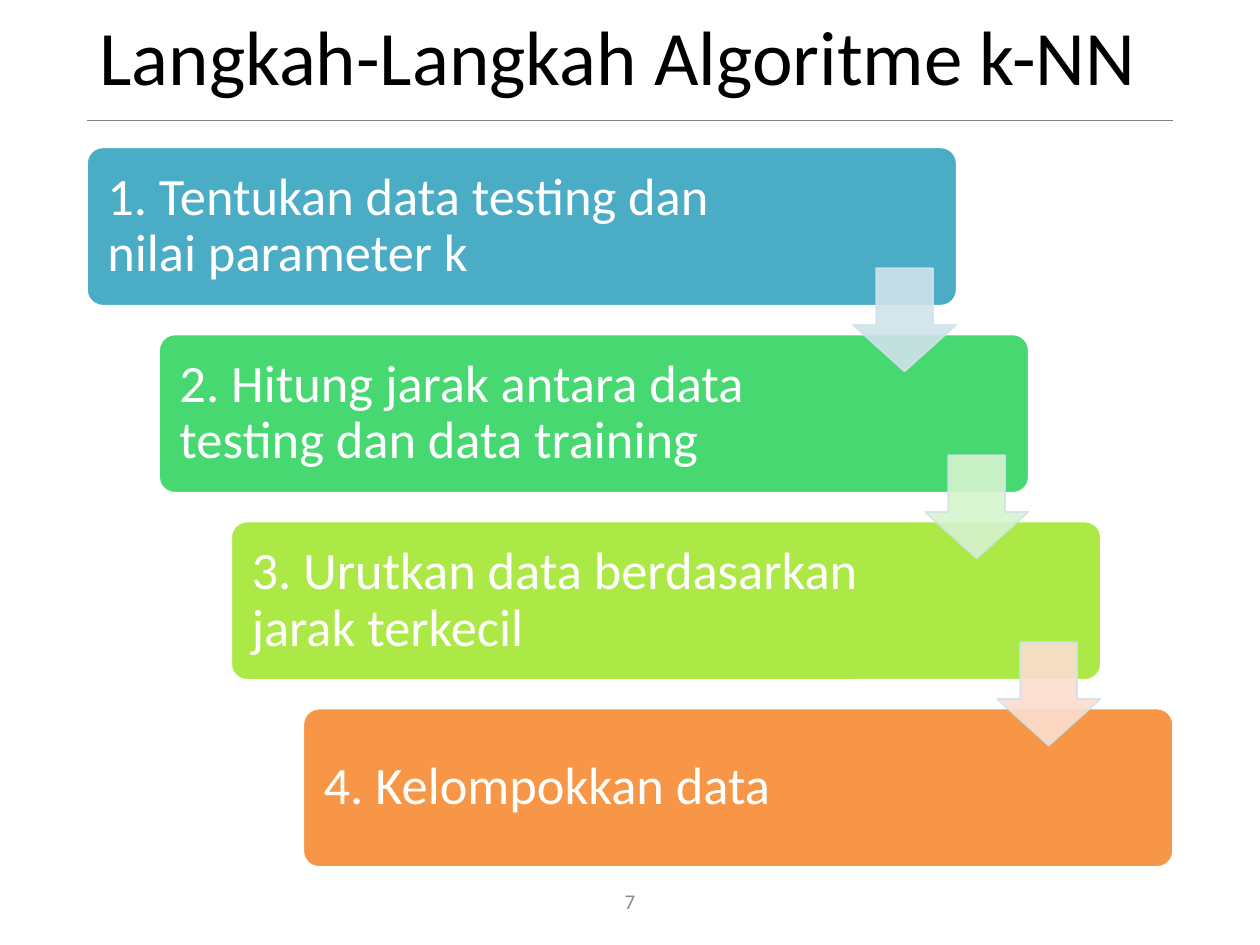
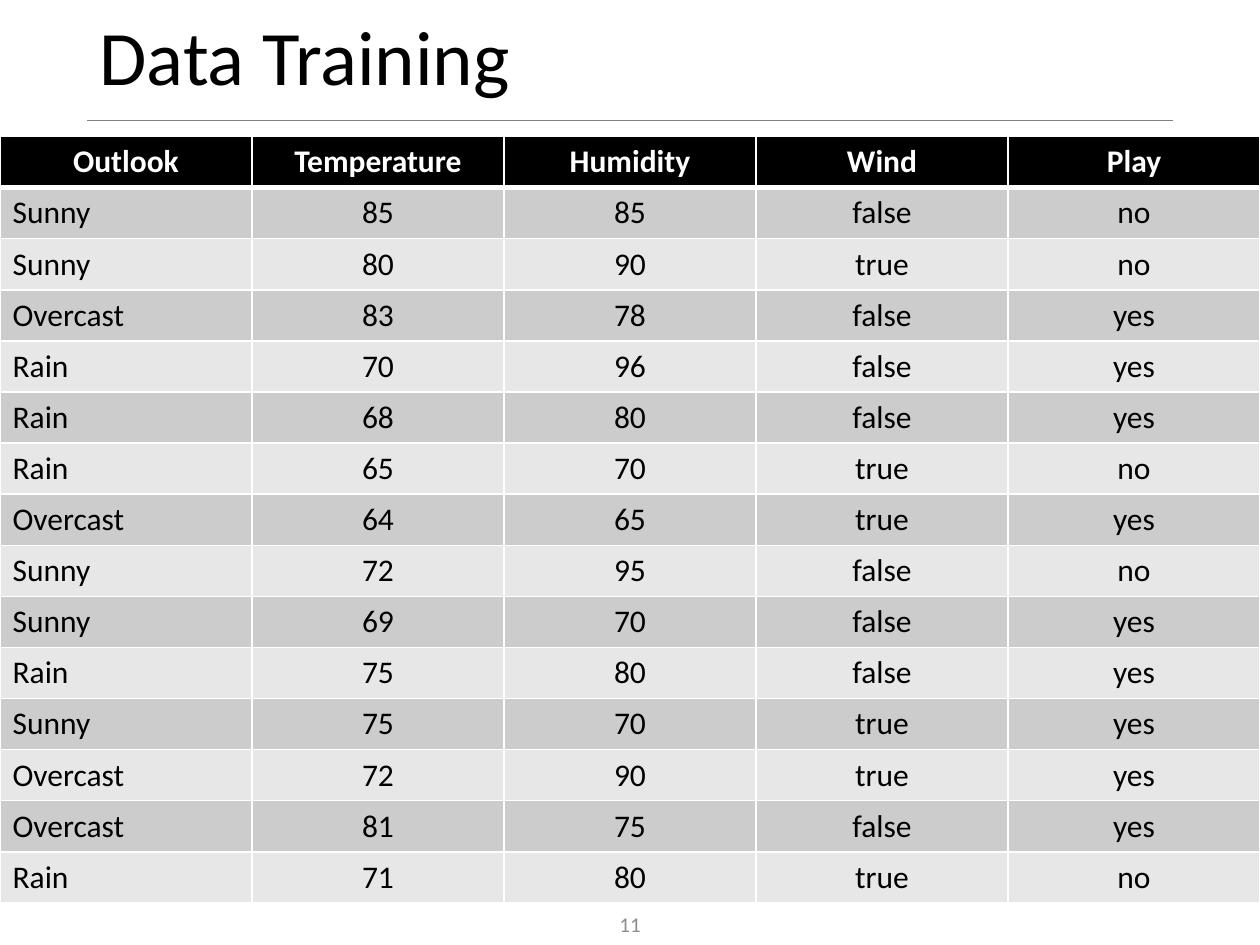
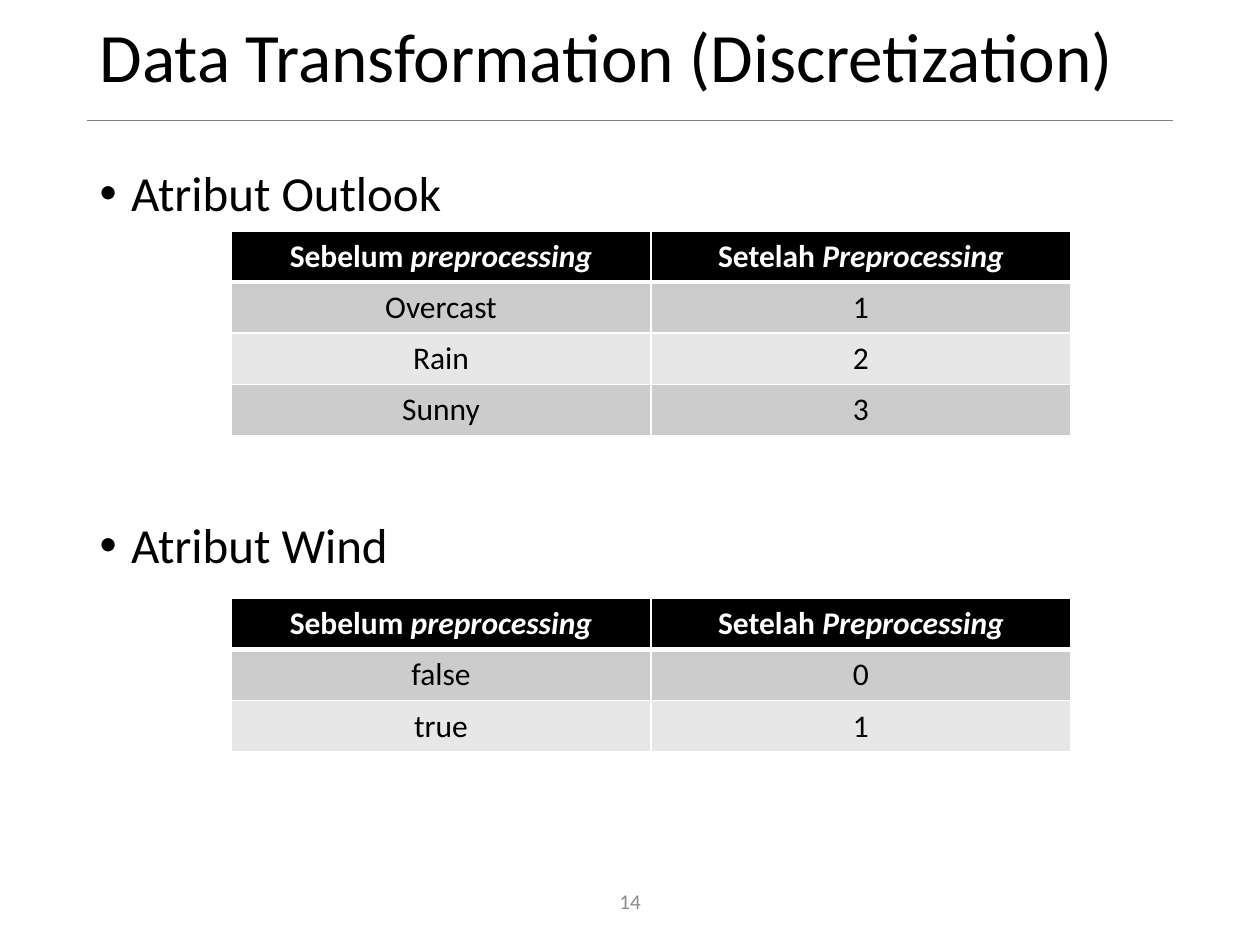
from typing import Any, NamedTuple

from lxml.etree import SubElement
from pptx import Presentation
from pptx.dml.color import RGBColor
from pptx.enum.shapes import MSO_CONNECTOR, MSO_SHAPE
from pptx.enum.text import MSO_ANCHOR, MSO_AUTO_SIZE, PP_ALIGN
from pptx.oxml import parse_xml
from pptx.oxml.ns import nsdecls, qn
from pptx.util import Pt

FONT = "Calibri"
BLACK, WHITE, GREY, NUMBER_GREY = "000000", "FFFFFF", "808080", "8C8C8C"
BANDS = ("CCCCCC", "E7E7E7")
ARROW_LINE = "D0E3EA"
TITLE_ONLY, TITLE_AND_BODY = 5, 1

LEFT, RIGHT = 49.7, 670.3
WIDTH = RIGHT - LEFT
RULE_Y = 68.8
ROW_HEIGHT = 29.2

STEP_WIDTH, STEP_HEIGHT = 497, 90.5
STEP_TOP, STEP_DOWN = 84.2, 106.9
STEP_ACROSS = (WIDTH - STEP_WIDTH) / 3
ARROW_SIZE, ARROW_DX, ARROW_DY = 59, 437.7, 69


class Box(NamedTuple):
    x: float
    y: float
    w: float
    h: float

    def lengths(self) -> list:
        return [Pt(v) for v in self]


class Step(NamedTuple):
    text: str
    fill: str
    arrow: str | None = None


class Grid(NamedTuple):
    x: float
    y: float
    width: float
    header: list[str]
    rows: list[list[str]]
    first_align: PP_ALIGN = PP_ALIGN.CENTER


NUMBER_BOX = Box(279, 500.5, 162, 28.75)
NUMBER_BOX_BELOW_TABLE = Box(279, 516, 162, 24)

STEPS = [
    Step("1. Tentukan data testing dan nilai parameter k", "4BACC6", "D0E3EA"),
    Step("2. Hitung jarak antara data testing dan data training", "47D872", "D6F4CE"),
    Step("3. Urutkan data berdasarkan jarak terkecil", "ACE946", "FCDDCF"),
    Step("4. Kelompokkan data", "F79646"),
]

TRAINING = """Sunny 85 85 false no
Sunny 80 90 true no
Overcast 83 78 false yes
Rain 70 96 false yes
Rain 68 80 false yes
Rain 65 70 true no
Overcast 64 65 true yes
Sunny 72 95 false no
Sunny 69 70 false yes
Rain 75 80 false yes
Sunny 75 70 true yes
Overcast 72 90 true yes
Overcast 81 75 false yes
Rain 71 80 true no"""

TRAINING_GRID = Grid(
    0, 78, 720, ["Outlook", "Temperature", "Humidity", "Wind", "Play"],
    [line.split() for line in TRAINING.splitlines()], PP_ALIGN.LEFT)

# An asterisk switches italics on
BEFORE_AFTER = ["Sebelum *preprocessing", "Setelah *Preprocessing"]
MAPPING_GRIDS = [
    Grid(132, 132, 480, BEFORE_AFTER, [["Overcast", "1"], ["Rain", "2"], ["Sunny", "3"]]),
    Grid(132, 342, 480, BEFORE_AFTER, [["false", "0"], ["true", "1"]]),
]


def rgb(value: str) -> RGBColor:
    return RGBColor.from_string(value)


def apply(obj, values: dict[str, Any]) -> None:
    for name, value in values.items():
        setattr(obj, name, value)


def write(p, text: str, size: float, color: str, bold: bool = False, **paragraph) -> None:
    apply(p, paragraph)
    for i, part in enumerate(text.split("*")):
        r = p.add_run()
        r.text = part
        apply(r.font, {"name": FONT, "size": Pt(size), "bold": bold, "italic": i > 0})
        r.font.color.rgb = rgb(color)


def place(sp, box: Box) -> None:
    apply(sp, dict(zip(("left", "top", "width", "height"), box.lengths())))


def new_slide(prs, layout: int, title: str, number: int, title_size: float = 44,
              number_box: Box = NUMBER_BOX):
    """Add a slide with its title, rule and slide number."""
    s = prs.slides.add_slide(prs.slide_layouts[layout])
    place(s.shapes.title, Box(LEFT, 6.5, WIDTH, 56))
    tf = s.shapes.title.text_frame
    apply(tf, {"vertical_anchor": MSO_ANCHOR.MIDDLE, "auto_size": MSO_AUTO_SIZE.NONE})
    write(tf.paragraphs[0], title, title_size, BLACK,
          alignment=PP_ALIGN.LEFT, line_spacing=0.9)

    rule = s.shapes.add_connector(
        MSO_CONNECTOR.STRAIGHT, Pt(LEFT), Pt(RULE_Y), Pt(RIGHT), Pt(RULE_Y))
    rule.line.color.rgb = rgb(GREY)
    rule.line.width = Pt(1)
    SubElement(rule._element.spPr, qn("a:effectLst"))

    tf = s.shapes.add_textbox(*number_box.lengths()).text_frame
    apply(tf, {"word_wrap": True, "vertical_anchor": MSO_ANCHOR.MIDDLE})
    write(tf.paragraphs[0], str(number), 12, NUMBER_GREY, alignment=PP_ALIGN.CENTER)
    return s


def add_filled(s, kind: MSO_SHAPE, box: Box, fill: str, line: str, adjustments: list[float]):
    sp = s.shapes.add_shape(kind, *box.lengths())
    sp.shadow.inherit = False
    sp.fill.solid()
    sp.fill.fore_color.rgb = rgb(fill)
    sp.line.color.rgb = rgb(line)
    sp.line.width = Pt(1)
    for i, value in enumerate(adjustments):
        sp.adjustments[i] = value
    return sp


def add_step(s, step: Step, index: int) -> None:
    box = Box(LEFT + index * STEP_ACROSS, STEP_TOP + index * STEP_DOWN, STEP_WIDTH, STEP_HEIGHT)
    sp = add_filled(s, MSO_SHAPE.ROUNDED_RECTANGLE, box, step.fill, WHITE, [0.1])
    tf = sp.text_frame
    apply(tf, {"word_wrap": True, "vertical_anchor": MSO_ANCHOR.MIDDLE,
               "margin_left": Pt(9), "margin_right": Pt(113)})
    write(tf.paragraphs[0], step.text, 30, WHITE, alignment=PP_ALIGN.LEFT, line_spacing=0.9)


def add_step_arrow(s, color: str, index: int) -> None:
    box = Box(LEFT + index * STEP_ACROSS + ARROW_DX, STEP_TOP + index * STEP_DOWN + ARROW_DY,
              ARROW_SIZE, ARROW_SIZE)
    sp = add_filled(s, MSO_SHAPE.DOWN_ARROW, box, color, ARROW_LINE, [0.55, 0.45])
    for clr in sp._element.spPr.iter(qn("a:srgbClr")):
        SubElement(clr, qn("a:alpha"), val="90000")


def set_borders(cell, top: float, bottom: float) -> None:
    tcPr = cell._tc.get_or_add_tcPr()
    for i, (side, width) in enumerate(zip("LRTB", (1, 1, top, bottom))):
        tcPr.insert(i, parse_xml(
            f'<a:ln{side} {nsdecls("a")} w="{Pt(width)}"><a:solidFill>'
            f'<a:srgbClr val="{WHITE}"/></a:solidFill></a:ln{side}>'))


def add_grid(s, grid: Grid) -> None:
    lines = [grid.header, *grid.rows]
    box = Box(grid.x, grid.y, grid.width, ROW_HEIGHT * len(lines))
    table = s.shapes.add_table(len(lines), len(grid.header), *box.lengths()).table
    for i, line in enumerate(lines):
        header = i == 0
        table.rows[i].height = Pt(ROW_HEIGHT)
        for j, text in enumerate(line):
            cell = table.cell(i, j)
            cell.fill.solid()
            cell.fill.fore_color.rgb = rgb(BLACK if header else BANDS[(i - 1) % 2])
            set_borders(cell, top=3 if i == 1 else 1, bottom=3 if header else 1)
            cell.vertical_anchor = MSO_ANCHOR.TOP if header else MSO_ANCHOR.MIDDLE
            align = PP_ALIGN.CENTER if header or j else grid.first_align
            write(cell.text_frame.paragraphs[0], text, 18, WHITE if header else BLACK,
                  bold=header, alignment=align)


def add_steps_slide(prs) -> None:
    s = new_slide(prs, TITLE_ONLY, "Langkah-Langkah Algoritme k-NN", 7)
    for i, step in enumerate(STEPS):
        add_step(s, step, i)
    for i, step in enumerate(STEPS):
        if step.arrow:
            add_step_arrow(s, step.arrow, i)


def add_training_slide(prs) -> None:
    s = new_slide(prs, TITLE_ONLY, "Data Training", 11, number_box=NUMBER_BOX_BELOW_TABLE)
    add_grid(s, TRAINING_GRID)


def add_transformation_slide(prs) -> None:
    s = new_slide(prs, TITLE_AND_BODY, "Data Transformation (Discretization)", 14, 39.6)
    body = s.placeholders[1]
    place(body, Box(LEFT, 93, WIDTH, 342.5))
    tf = body.text_frame
    tf.auto_size = MSO_AUTO_SIZE.NONE
    for i, (text, gap) in enumerate([("Atribut Outlook", 10), ("Atribut Wind", 171)]):
        p = tf.add_paragraph() if i else tf.paragraphs[0]
        write(p, text, 28, BLACK, line_spacing=0.9, space_before=Pt(gap))
        pPr = p._p.get_or_add_pPr()
        pPr.set("marL", str(Pt(18)))
        pPr.set("indent", str(Pt(-18)))
    for grid in MAPPING_GRIDS:
        add_grid(s, grid)


def main() -> None:
    prs = Presentation()
    apply(prs, {"slide_width": Pt(720), "slide_height": Pt(540)})
    add_steps_slide(prs)
    add_training_slide(prs)
    add_transformation_slide(prs)
    prs.save("out.pptx")


if __name__ == "__main__":
    main()
